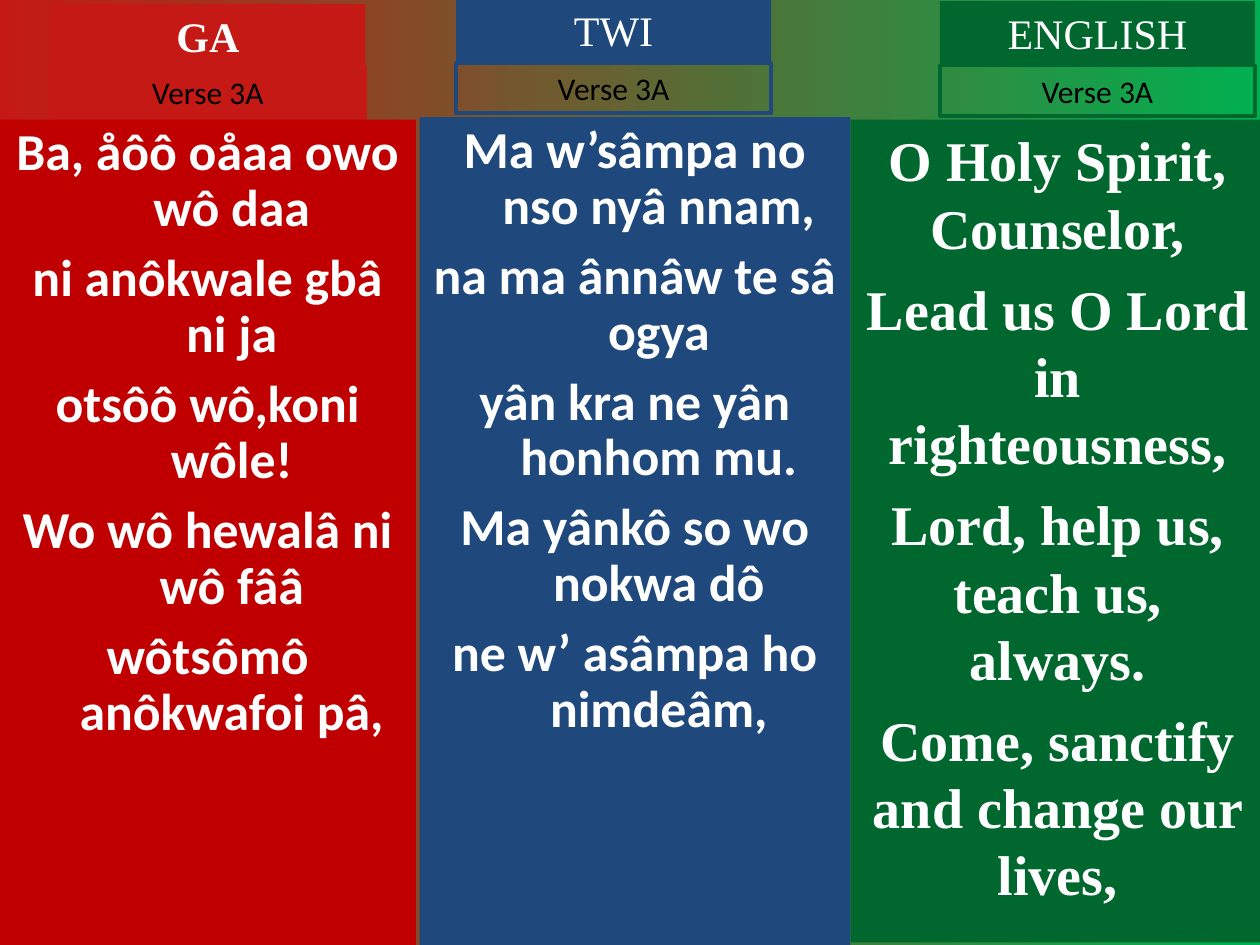
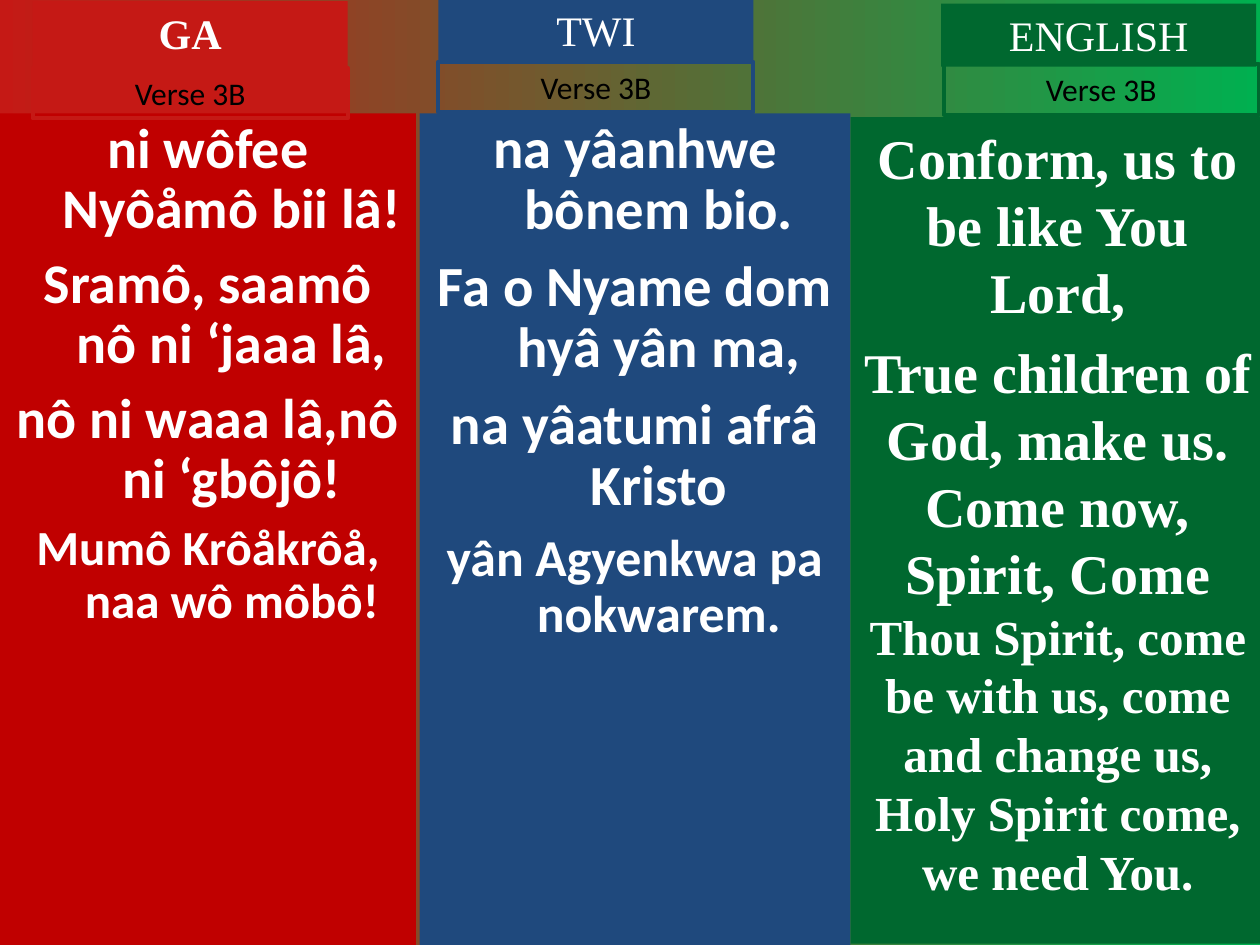
from pptx import Presentation
from pptx.dml.color import RGBColor
from pptx.enum import shapes, text
from pptx.oxml import parse_xml
from pptx.oxml.ns import nsdecls
from pptx.util import Inches, Pt

COLORS = {
    "start": "C51915", "end": "00B050",
    "red": "C00000", "blue": "1F497D", "green": "00682F",
    "white": "FFFFFF", "black": "000000",
}
SANS, SERIF = "Calibri", "Times New Roman"
HANG = 0.38
TAG_W, TAG_H, VERSE_H = 2.5, 0.5, 0.4

# name, panel colour, tag colour, left, width, font, hanging indent, line spacing
COLUMNS = [
    ("GA", "red", "start", 0, 3.3, SANS, HANG, 0.9),
    ("TWI", "blue", "blue", 3.33, 3.42, SANS, HANG, 0.9),
    ("ENGLISH", "green", "green", 6.75, 3.29, SERIF, 0, 1.0),
]


def lines(size, space, *texts):
    """One paragraph for each text: its space before, then its sized runs."""
    return [(space, [(words, size)]) for words in texts]


# For each column: panel top and height, tag left and top, verse left and top, lyrics
SLIDES = [
    ("Verse 3A", [
        ((0.95, 6.55), (0.4, 0.03), (0.4, 0.53), lines(
            29.6, 8, "Ba, åôô oåaa owo wô daa", "ni anôkwale gbâ ni ja",
            "otsôô wô,koni wôle!", "Wo wô hewalâ ni wô fââ",
            "wôtsômô anôkwafoi pâ,")),
        ((0.93, 6.57), (3.62, -0.01), (3.62, 0.5), lines(
            29.6, 8, "Ma w’sâmpa no nso nyâ nnam,", "na ma ânnâw te sâ ogya",
            "yân kra ne yân honhom mu.", "Ma yânkô so wo nokwa dô",
            "ne w’ asâmpa ho nimdeâm,")),
        ((0.95, 6.53), (7.46, 0.01), (7.46, 0.52), lines(
            32, 8, "O Holy Spirit, Counselor,", "Lead us O Lord in righteousness,",
            "Lord, help us, teach us, always.",
            "Come, sanctify and change our lives,")),
    ]),
    ("Verse 3B", [
        ((0.9, 6.6), (0.26, 0.01), (0.26, 0.54), lines(
            32, 8, "ni wôfee Nyôåmô bii lâ!", "Sramô, saamô nô ni ‘jaaa lâ,",
            "nô ni waaa lâ,nô ni ‘gbôjô!")
            + lines(28, 7, "Mumô Krôåkrôå, naa wô môbô!")),
        ((0.9, 6.6), (3.48, -0.01), (3.48, 0.49), lines(
            32.4, 8.8, "na yâanhwe bônem bio.", "Fa o Nyame dom hyâ yân ma,",
            "na yâatumi afrâ Kristo")
            + lines(29.6, 8, "yân Agyenkwa pa nokwarem.")),
        ((0.93, 6.56), (7.47, 0.03), (7.49, 0.51), lines(
            32, 8, "Conform, us to be like You Lord,")
            + [(7, [("True children of God, make us. Come now, Spirit, Come ", 32),
                    ("Thou Spirit, come be with us, come and change us, "
                     "Holy Spirit come, we need You.", 28)])]),
    ]),
]


def rgb(name):
    return RGBColor.from_string(COLORS[name])


def paint(slide):
    """Fill the background with the red to green blend."""
    fill = slide.background.fill
    fill.gradient()
    fill.gradient_angle = 0
    for stop, name, place in zip(fill.gradient_stops, ("start", "end"), (0, 1)):
        stop.color.rgb = rgb(name)
        stop.position = place


def box(slide, holder, left, top, width, height, fill=None, line=None):
    """Place a placeholder, or a new rectangle when there is none."""
    at = [Inches(side) for side in (left, top, width, height)]
    if holder is None:
        shape = slide.shapes.add_shape(shapes.MSO_SHAPE.RECTANGLE, *at)
        shape.shadow.inherit = False
    else:
        shape = holder
        shape.left, shape.top, shape.width, shape.height = at
    if fill:
        shape.fill.solid()
        shape.fill.fore_color.rgb = rgb(fill)
    else:
        shape.fill.background()
    if line:
        shape.line.color.rgb = rgb(line)
        shape.line.width = Pt(2.25)
    else:
        shape.line.fill.background()
    return shape


def write(shape, paras, font, color="white", bold=False, hang=0, spacing=1.0,
          grow=False):
    frame = shape.text_frame
    frame.word_wrap = True
    frame.vertical_anchor = text.MSO_ANCHOR.TOP
    size = text.MSO_AUTO_SIZE
    frame.auto_size = size.SHAPE_TO_FIT_TEXT if grow else size.NONE
    for i, (space, runs) in enumerate(paras):
        para = frame.add_paragraph() if i else frame.paragraphs[0]
        props = para._p.get_or_add_pPr()
        props.set("marL", str(Inches(hang)))
        props.set("indent", str(-Inches(hang)))
        props.append(parse_xml(f"<a:buNone {nsdecls('a')}/>"))
        para.alignment = text.PP_ALIGN.CENTER
        para.line_spacing = spacing
        para.space_before = Pt(space if i else 0)
        para.space_after = Pt(0)
        for words, points in runs:
            run = para.add_run()
            run.text = words
            run.font.name = font
            run.font.size = Pt(points)
            run.font.bold = bold
            run.font.color.rgb = rgb(color)


def column(slide, style, part, verse, holder, title):
    name, fill, accent, left, width, font, hang, spacing = style
    (top, height), tag_at, verse_at, lyrics = part
    panel = box(slide, holder, left, top, width, height, fill=fill)
    write(panel, lyrics, font, bold=True, hang=hang, spacing=spacing)
    tag = box(slide, title, *tag_at, TAG_W, TAG_H, fill=accent)
    write(tag, lines(24, 0, name), SERIF, bold=name == "GA", grow=True)
    label = box(slide, None, *verse_at, TAG_W, VERSE_H, line=accent)
    write(label, lines(18, 0, verse), SANS, color="black", grow=True)


def main():
    deck = Presentation()
    deck.slide_width, deck.slide_height = Inches(10), Inches(7.5)
    layout = deck.slide_layouts.get_by_name("Two Content")
    for verse, parts in SLIDES:
        slide = deck.slides.add_slide(layout)
        paint(slide)
        title, first, second = list(slide.placeholders)[:3]
        holders = [(first, title), (second, None), (None, None)]
        for style, part, (holder, head) in zip(COLUMNS, parts, holders):
            column(slide, style, part, verse, holder, head)
    deck.save("out.pptx")


if __name__ == "__main__":
    main()
